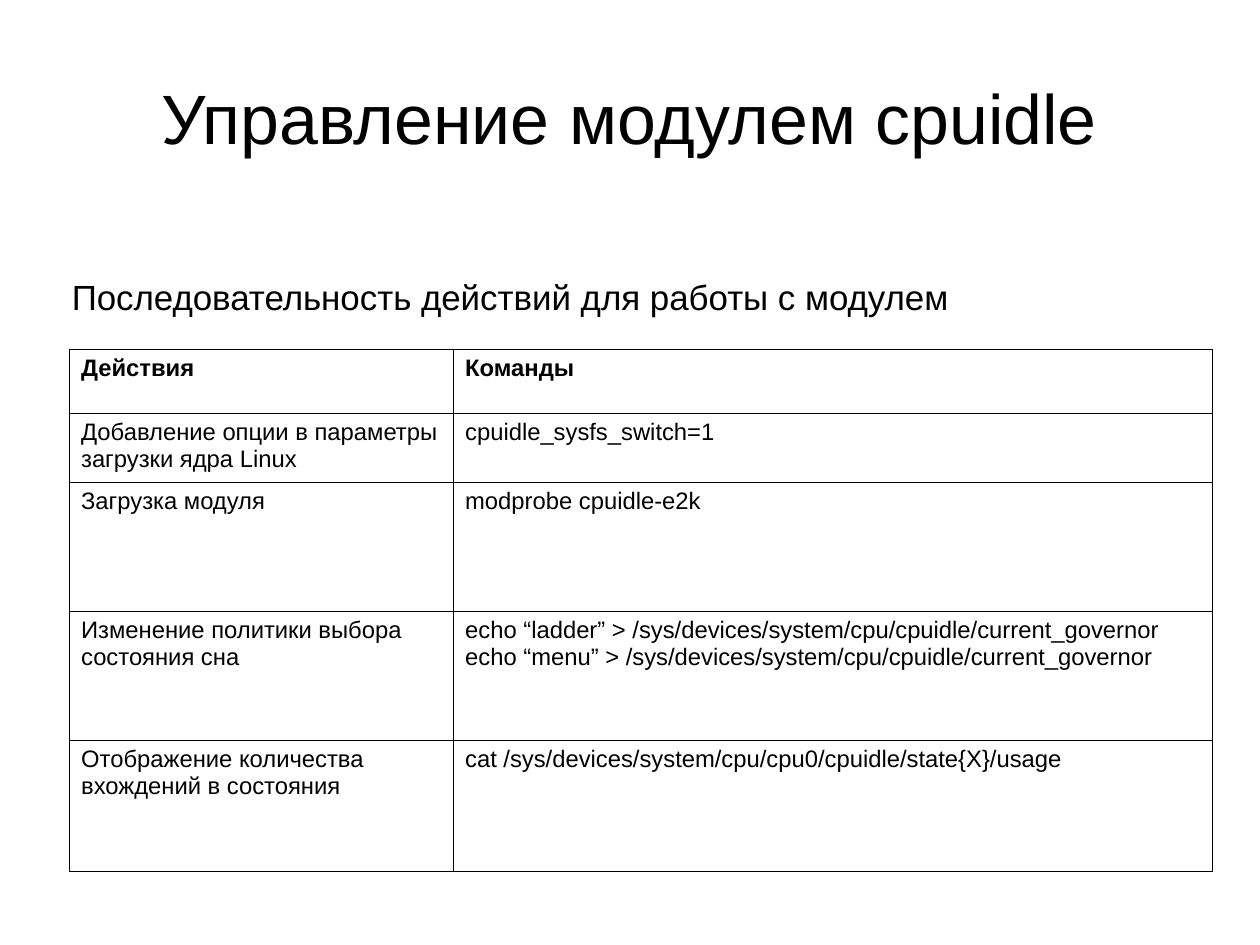
from dataclasses import dataclass

from lxml import etree
from pptx import Presentation
from pptx.dml.color import RGBColor
from pptx.enum import text
from pptx.oxml import ns
from pptx.util import Inches, Pt


@dataclass(frozen=True)
class Theme:
    font: str = "Arial"
    ink: str = "000000"
    paper: str = "FFFFFF"
    title_size: float = 44
    subtitle_size: float = 22
    table_size: float = 15
    border: float = 0.57


THEME = Theme()

CM_PER_INCH = 2.54
SLIDE_WIDTH = 28 / CM_PER_INCH
SLIDE_HEIGHT = 21 / CM_PER_INCH

COLUMN_WIDTHS = (3.36, 6.64)
ROW_HEIGHTS = (0.56, 0.6, 1.13, 1.13, 1.14)
STEPS = (
    ("Действия", "Команды"),
    ("Добавление опции в параметры загрузки ядра Linux",
     "cpuidle_sysfs_switch=1"),
    ("Загрузка модуля", "modprobe cpuidle-e2k"),
    ("Изменение политики выбора состояния сна",
     "echo “ladder” > /sys/devices/system/cpu/cpuidle/current_governor\n"
     "echo “menu” > /sys/devices/system/cpu/cpuidle/current_governor"),
    ("Отображение количества вхождений в состояния",
     "cat /sys/devices/system/cpu/cpu0/cpuidle/state{X}/usage"),
)


def write(frame, wording, size, bold=False, align=text.PP_ALIGN.LEFT):
    frame.text = wording
    for paragraph in frame.paragraphs:
        paragraph.alignment = align
        for run in paragraph.runs:
            run.font.name = THEME.font
            run.font.size = Pt(size)
            run.font.bold = bold
            run.font.color.rgb = RGBColor.from_string(THEME.ink)


def add_title(slide, wording):
    title = slide.shapes.add_textbox(
        Inches(0.55), Inches(0.33), Inches(9.92), Inches(1.38))
    frame = title.text_frame
    frame.word_wrap = True
    frame.vertical_anchor = text.MSO_ANCHOR.MIDDLE
    frame.margin_left = frame.margin_right = Inches(0)
    frame.margin_top = frame.margin_bottom = Inches(0)
    write(frame, wording, THEME.title_size, align=text.PP_ALIGN.CENTER)


def add_subtitle(slide, wording):
    subtitle = slide.shapes.add_textbox(
        Inches(0.53), Inches(2.36), Inches(7.87), Inches(0.44))
    subtitle.text_frame.word_wrap = False
    write(subtitle.text_frame, wording, THEME.subtitle_size)


def outline(cell):
    """Draw a thin line on all four sides of the cell."""
    properties = cell._tc.get_or_add_tcPr()
    for position, side in enumerate(("lnL", "lnR", "lnT", "lnB")):
        line = etree.Element(ns.qn(f"a:{side}"), w=str(Pt(THEME.border)))
        fill = etree.SubElement(line, ns.qn("a:solidFill"))
        etree.SubElement(fill, ns.qn("a:srgbClr"), val=THEME.ink)
        properties.insert(position, line)


def add_steps_table(slide, steps):
    table = slide.shapes.add_table(
        len(steps), len(COLUMN_WIDTHS), Inches(0.61), Inches(3.06),
        Inches(sum(COLUMN_WIDTHS)), Inches(sum(ROW_HEIGHTS))).table
    table.horz_banding = False
    for column, width in zip(table.columns, COLUMN_WIDTHS):
        column.width = Inches(width)
    for row_index, (row, height) in enumerate(zip(table.rows, ROW_HEIGHTS)):
        row.height = Inches(height)
        for cell, wording in zip(row.cells, steps[row_index]):
            cell.fill.solid()
            cell.fill.fore_color.rgb = RGBColor.from_string(THEME.paper)
            outline(cell)
            write(cell.text_frame, wording, THEME.table_size,
                  bold=row_index == 0)


def main():
    presentation = Presentation()
    presentation.slide_width = Inches(SLIDE_WIDTH)
    presentation.slide_height = Inches(SLIDE_HEIGHT)
    slide = presentation.slides.add_slide(presentation.slide_layouts[6])
    add_title(slide, "Управление модулем cpuidle")
    add_steps_table(slide, STEPS)
    add_subtitle(slide, "Последовательность действий для работы с модулем")
    presentation.save("out.pptx")


if __name__ == "__main__":
    main()
